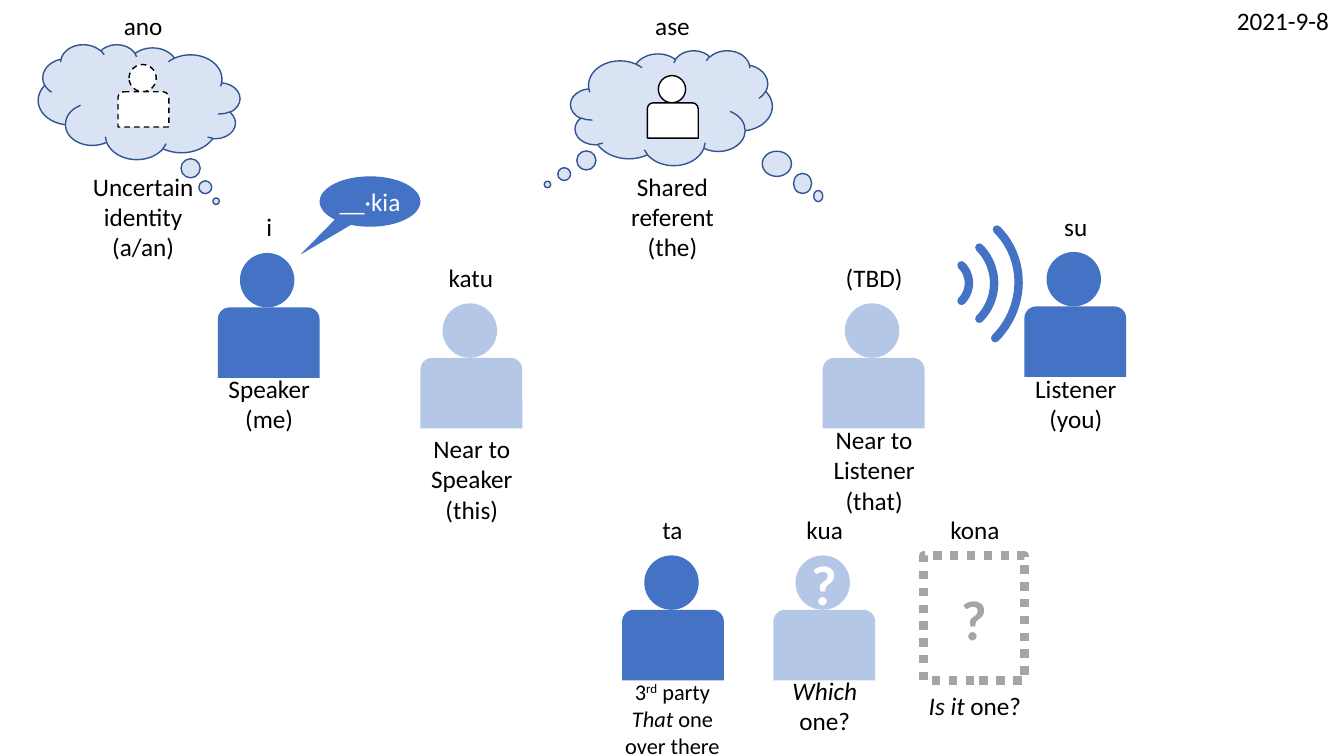
from lxml import etree
from pptx import Presentation
from pptx.dml.color import RGBColor
from pptx.enum import dml, shapes, text
from pptx.oxml.ns import qn
from pptx.util import Inches, Pt

BLUE, PALE, CLOUD, EDGE = "4472C4", "B4C7E7", "DAE3F3", "325491"
BLACK, WHITE, GREY = "000000", "FFFFFF", "A5A5A5"
G = shapes.MSO_SHAPE

# Figures: left, top, scale, fill, line, dash
PEOPLE = [
    (2.16, 2.51, 1, BLUE, None, None),
    (10.16, 2.5, 1, BLUE, None, None),
    (6.17, 5.51, 1, BLUE, None, None),
    (4.17, 3.01, 1, PALE, None, None),
    (8.16, 3.01, 1, PALE, None, None),
    (7.67, 5.51, 1, PALE, None, None),
    (6.42, 0.75, 0.5, WHITE, BLACK, None),
    (1.17, 0.64, 0.5, WHITE, BLACK, dml.MSO_LINE.DASH),
]

# Thought clouds: left, top, tail, flipped
CLOUDS = [(5.66, 0.5, (-0.615, 0.667), False),
          (0.38, 0.44, (-0.382, 0.865), True)]
BUBBLES = [(7.56, 1.5, 0.29, 0.25), (7.87, 1.72, 0.18, 0.2), (8.07, 1.89, 0.09, 0.11)]
SOUND_WAVES = [(9.11, 2.56, 0.5, 0.5), (8.86, 2.31, 1, 1), (8.59, 2.05, 1.5, 1.55)]

# Words above the figures: left, top, word
WORDS = [(0.92, 0, "ano"), (6.17, 0, "ase"), (2.17, 2, "i"), (10.17, 2, "su"),
         (4.17, 2.5, "katu"), (8.17, 2.5, "(TBD)"), (6.17, 5, "ta"),
         (7.68, 5, "kua"), (9.17, 5, "kona")]

# Meanings below: left, top, height, size, paragraphs of (run, style)
MEANINGS = [
    (2.17, 3.75, 0.5, 18, [[("Speaker", "")], [("(me)", "")]]),
    (10.17, 3.75, 0.5, 18, [[("Listener", "")], [("(you)", "")]]),
    (4.18, 4.25, 1, 18, [[("Near to", "")], [("Speaker", "")], [("(this)", "")]]),
    (8.17, 4.25, 0.82, 18, [[("Near to", "")], [("Listener", "")], [("(that)", "")]]),
    (6.17, 1.75, 0.79, 18, [[("Shared referent", "")], [("(the)", "")]]),
    (0.92, 1.75, 0.79, 18, [[("Uncertain identity", "")], [("(a/an)", "")]]),
    (6.17, 6.75, 0.75, 16, [[("3", ""), ("rd", "super"), (" party", "")],
                            [("That", "italic"), (" one over there", "")]]),
    (7.68, 6.75, 0.5, 18, [[("Which", "italic"), (" one?", "")]]),
    (9.17, 6.75, 0.5, 18, [[("Is it", "italic"), (" one?", "")]]),
]

prs = Presentation()
prs.slide_width, prs.slide_height = Inches(13.33), Inches(7.5)
s = prs.slides.add_slide(prs.slide_layouts[6])


def rgb(value):
    return RGBColor.from_string(value)


def add_shape(kind, box, fill=None, line=None, width=1, dash=None):
    sp = s.shapes.add_shape(kind, *map(Inches, box))
    sp.shadow.inherit = False
    if fill:
        sp.fill.solid()
        sp.fill.fore_color.rgb = rgb(fill)
    else:
        sp.fill.background()
    if line:
        sp.line.color.rgb = rgb(line)
        sp.line.width = Pt(width)
        if dash:
            sp.line.dash_style = dash
    else:
        sp.line.fill.background()
    return sp


def write(sp, paragraphs, size=18, color=BLACK, bold=False,
          anchor=text.MSO_ANCHOR.MIDDLE, align=text.PP_ALIGN.CENTER):
    tf = sp.text_frame
    tf.word_wrap = True
    tf.vertical_anchor = anchor
    tf.margin_left = tf.margin_right = tf.margin_top = tf.margin_bottom = 0
    for i, runs in enumerate(paragraphs):
        p = tf.add_paragraph() if i else tf.paragraphs[0]
        p.alignment = align
        p.font.size, p.font.name, p.font.bold = Pt(size), "Calibri", bold
        p.font.color.rgb = rgb(color)
        for words, style in runs:
            r = p.add_run()
            r.text = words
            if style == "italic":
                r.font.italic = True
            elif style == "super":
                r.font._element.set("baseline", "30000")
    return tf


def add_text(box, paragraphs, **style):
    return write(s.shapes.add_textbox(*map(Inches, box)), paragraphs, **style)


# Thought clouds and bubbles
for x, y, tail, flipped in CLOUDS:
    cloud = add_shape(G.CLOUD_CALLOUT, (x, y, 2, 1.14), CLOUD, EDGE)
    cloud.adjustments[0], cloud.adjustments[1] = tail
    if flipped:
        cloud._element.spPr.find(qn("a:xfrm")).set("flipH", "1")
for box in BUBBLES:
    add_shape(G.OVAL, box, CLOUD, EDGE)

# People
for x, y, k, fill, line, dash in PEOPLE:
    add_shape(G.OVAL, (x + 0.22 * k, y, 0.54 * k, 0.54 * k), fill, line, dash=dash)
    add_shape(G.ROUND_2_SAME_RECTANGLE, (x, y + 0.54 * k, 1.01 * k, 0.7 * k),
              fill, line, dash=dash)

# Speech balloon
balloon = add_shape(G.OVAL_CALLOUT, (3.17, 1.75, 1, 0.5), BLUE)
balloon.adjustments[0], balloon.adjustments[1] = -0.692, 1.056
write(balloon, [[("__·kia", "")]], color=WHITE)

# Sound waves with round ends
for box in SOUND_WAVES:
    wave = add_shape(G.ARC, box, line=BLUE, width=6)
    wave.rotation = 45
    wave.line._get_or_add_ln().set("cap", "rnd")

# Question marks
add_text((7.67, 5.45, 1, 1.24), [[("?", "")]], size=40, color=WHITE, bold=True,
         anchor=text.MSO_ANCHOR.TOP)
frame = add_shape(G.RECTANGLE, (9.16, 5.51, 1, 1.24), line=GREY, width=6,
                  dash=dml.MSO_LINE.ROUND_DOT)
frame.line._get_or_add_ln().find(qn("a:prstDash")).set("val", "sysDot")
write(frame, [[("?", "")]], size=40, color=GREY, bold=True)

# Labels
for x, y, word in WORDS:
    add_text((x, y, 1, 0.5), [[(word, "")]])
for x, y, h, size, paragraphs in MEANINGS:
    add_text((x, y, 1, h), paragraphs, size=size)

# Date
tf = add_text((12.17, 0, 1.12, 0.4), [[("2021-9-8", "")]], align=text.PP_ALIGN.LEFT)
tf.word_wrap = False
tf.margin_left = tf.margin_right = Inches(0.1)
tf.margin_top = tf.margin_bottom = Inches(0.05)

prs.save("out.pptx")
